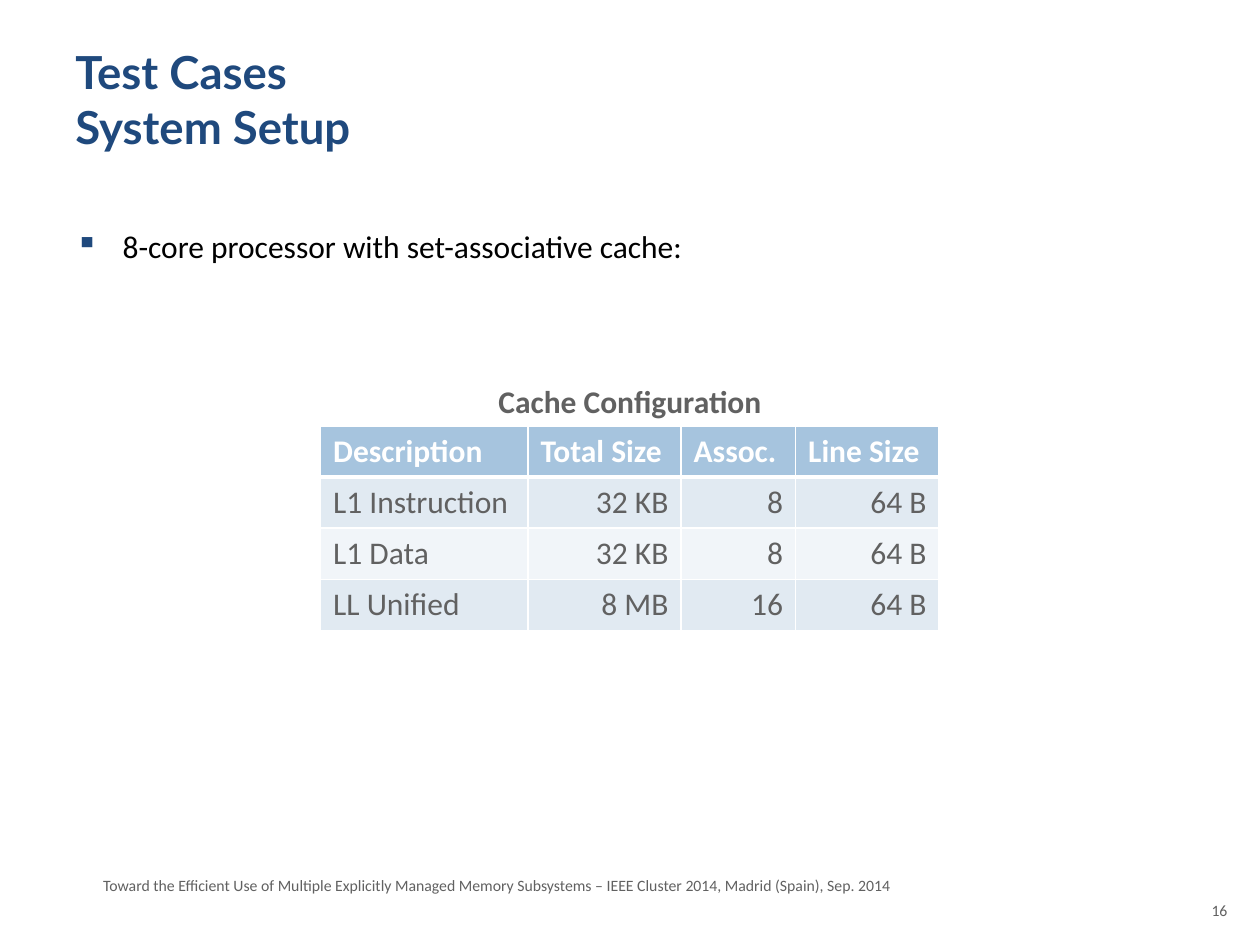
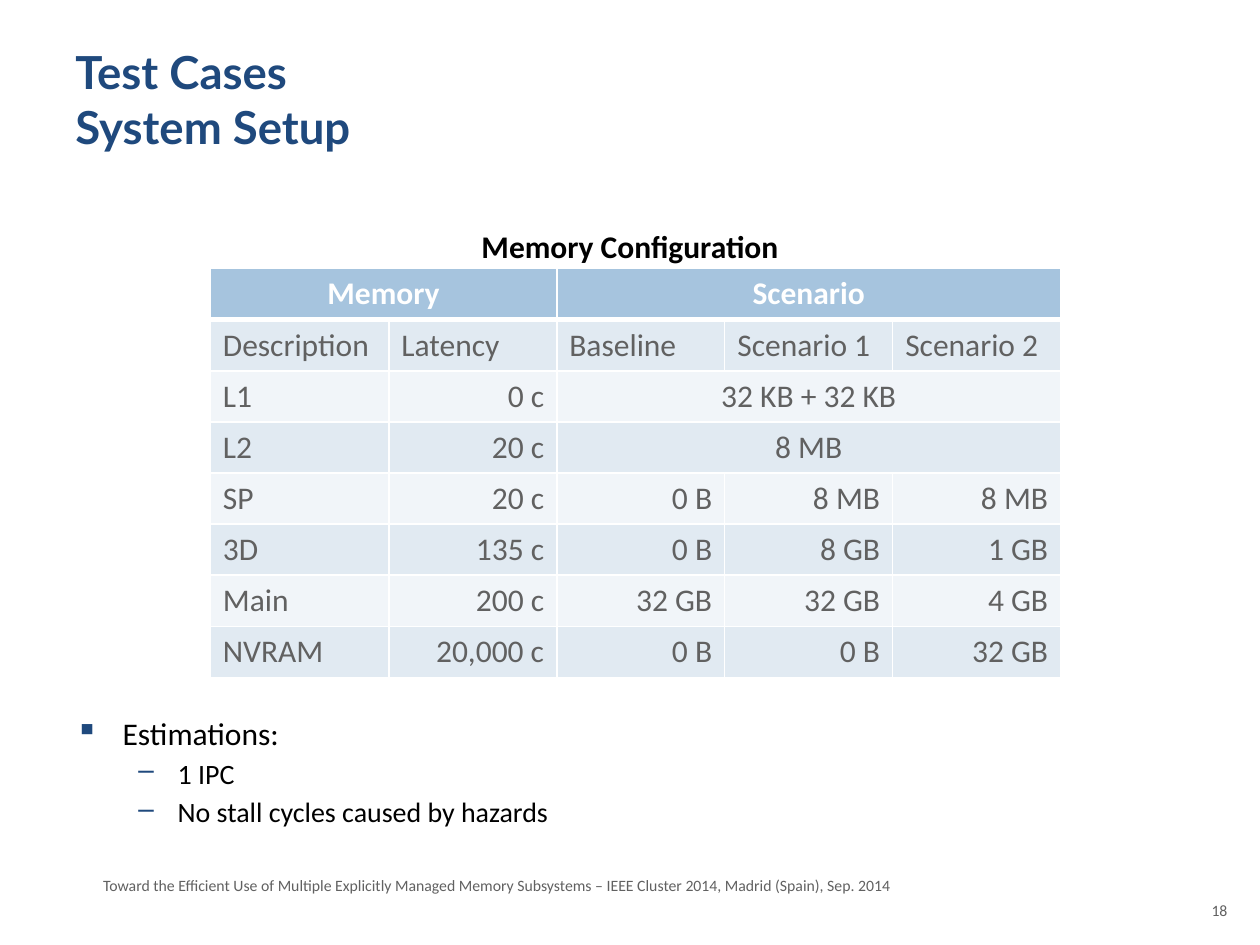
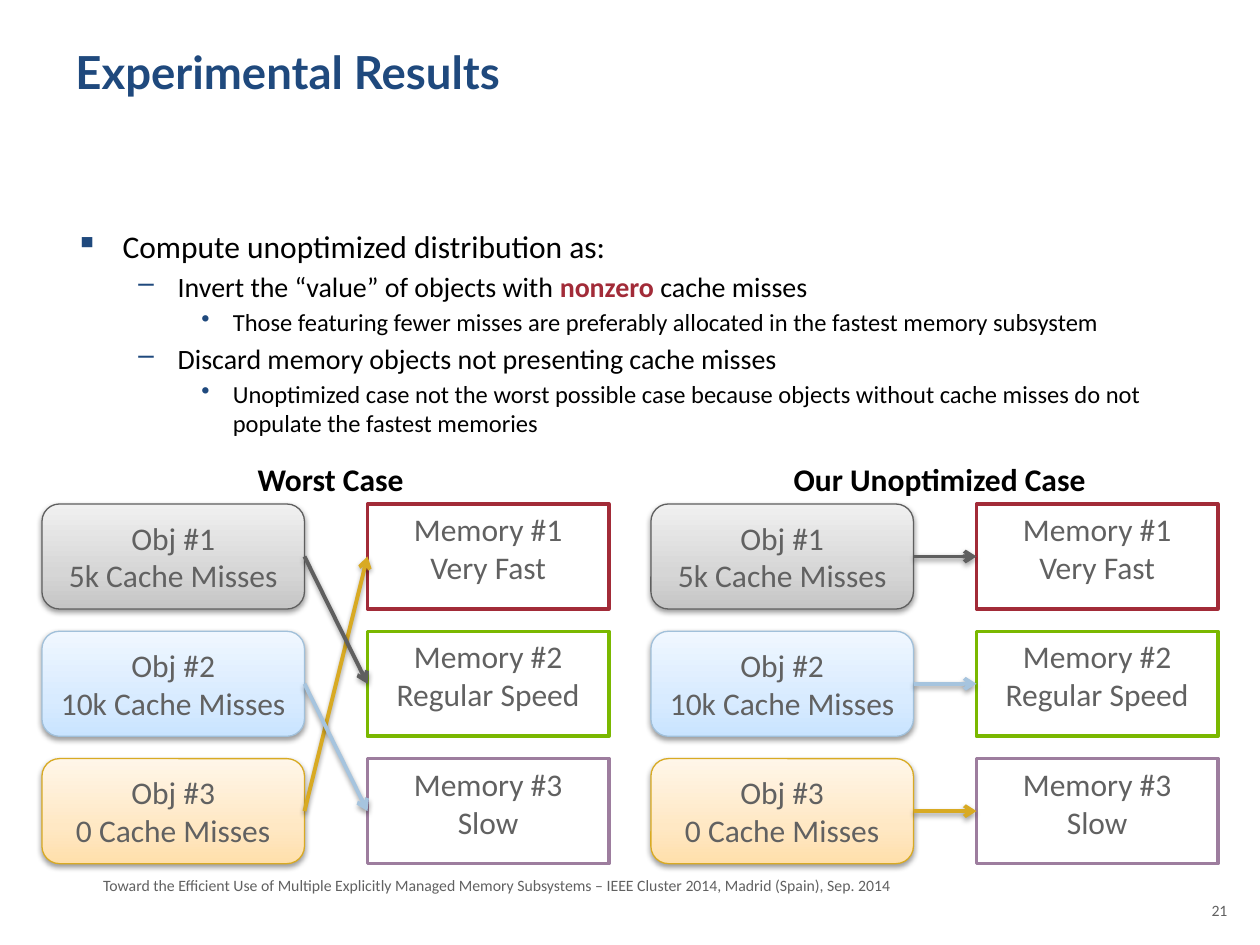
"""Build three slides on memory test cases and experimental results."""
import dataclasses
import typing

import lxml.etree
import pptx
import pptx.dml.color
import pptx.enum.shapes
import pptx.enum.text
import pptx.oxml.ns
import pptx.util

Pt = pptx.util.Pt
qn = pptx.oxml.ns.qn
Align = pptx.enum.text.PP_ALIGN
Anchor = pptx.enum.text.MSO_ANCHOR
Preset = pptx.enum.shapes.MSO_SHAPE


@dataclasses.dataclass(frozen=True)
class Theme:
    """Colours, fonts and type sizes of the deck."""
    navy: str = "1F497D"
    black: str = "000000"
    gray: str = "616161"
    white: str = "FFFFFF"
    crimson: str = "A22B38"
    green: str = "7AB800"
    purple: str = "9D7D9E"
    charcoal: str = "5F5F5F"
    steel: str = "A1C0DA"
    sky: str = "A6C4DE"
    gold: str = "D8AA23"
    bands: tuple[str, str] = ("E1EAF2", "F1F5F9")
    heading_font: str = "Lato"
    body_font: str = "Calibri"
    title_size: float = 26
    text_size: float = 18
    footer_size: float = 9


THEME = Theme()


class Box(typing.NamedTuple):
    """A frame in points."""
    left: float
    top: float
    width: float
    height: float

    def emu(self) -> list[int]:
        """Return the frame as lengths."""
        return [Pt(value) for value in self]


class Level(typing.NamedTuple):
    """Format of one bullet level."""
    mark: str
    size: float
    margin: float
    hang: float


class Phrase(typing.NamedTuple):
    """A stretch of text in one format."""
    text: str
    color: str = THEME.black
    bold: bool = False


class Bullet(typing.NamedTuple):
    """A bulleted line."""
    level: int
    phrases: tuple[Phrase, ...]


class MemoryObject(typing.NamedTuple):
    """A memory object with its gradient and colours."""
    label: str
    gradient: tuple[str, str, str]
    outline: str
    arrow: str


class Memory(typing.NamedTuple):
    """A memory subsystem with its outline colour."""
    label: str
    outline: str


class Placement(typing.NamedTuple):
    """A panel that assigns objects to memories."""
    caption: str
    left: float
    assignments: tuple[tuple[int, int], ...]


LEVELS = (Level("▪", 18, 27, 27), Level("–", 16, 58.5, 22.5), Level("•", 14, 90, 18))
TITLE_BOX = Box(36, 21.6, 648, 90)
BODY_BOX = Box(36, 126, 648, 356.4)
ESTIMATIONS_BOX = Box(36, 404.4, 648, 78)
FOOTER_BOX = Box(51.84, 496.8, 468, 18)
NUMBER_BOX = Box(678.24, 511.2, 30.24, 28.8)
CAPTION_SIZE = (318, 28.8)
FOOTER = ("Toward the Efficient Use of Multiple Explicitly Managed Memory Subsystems"
          " – IEEE Cluster 2014, Madrid (Spain), Sep. 2014")
SETUP_TITLE = "Test Cases\nSystem Setup"
ROW_HEIGHT = 29.2
CACHE_ROWS = (
    ("Description", "Total Size", "Assoc.", "Line Size"),
    ("L1 Instruction", "32 KB", "8", "64 B"),
    ("L1 Data", "32 KB", "8", "64 B"),
    ("LL Unified", "8 MB", "16", "64 B"),
)
MEMORY_ROWS = (
    ("Memory", None, "Scenario", None, None),
    ("Description", "Latency", "Baseline", "Scenario 1", "Scenario 2"),
    ("L1", "0 c", "32 KB + 32 KB", None, None),
    ("L2", "20 c", "8 MB", None, None),
    ("SP", "20 c", "0 B", "8 MB", "8 MB"),
    ("3D", "135 c", "0 B", "8 GB", "1 GB"),
    ("Main", "200 c", "32 GB", "32 GB", "4 GB"),
    ("NVRAM", "20,000 c", "0 B", "0 B", "32 GB"),
)
ESTIMATIONS = (
    Bullet(0, (Phrase("Estimations:"),)),
    Bullet(1, (Phrase("1 IPC"),)),
    Bullet(1, (Phrase("No stall cycles caused by hazards"),)),
)
DISTRIBUTION = (
    Bullet(0, (Phrase("Compute unoptimized distribution as:"),)),
    Bullet(1, (Phrase("Invert the “value” of objects with "),
               Phrase("nonzero ", THEME.crimson, True), Phrase("cache misses"))),
    Bullet(2, (Phrase("Those featuring fewer misses are preferably allocated in the fastest "
                      "memory subsystem"),)),
    Bullet(1, (Phrase("Discard memory objects not presenting cache misses"),)),
    Bullet(2, (Phrase("Unoptimized case not the worst possible case because objects without "
                      "cache misses do not populate the fastest memories"),)),
)
OBJECTS = (
    MemoryObject("Obj #1\n5k Cache Misses", ("C5C5C5", "D6D6D6", "F0F0F0"),
                 THEME.charcoal, THEME.charcoal),
    MemoryObject("Obj #2\n10k Cache Misses", ("C9E4FF", "D8EBFF", "F0F7FF"),
                 THEME.steel, THEME.sky),
    MemoryObject("Obj #3\n0 Cache Misses", ("FFDFAB", "FFE8C4", "FFF6E9"),
                 THEME.gold, THEME.gold),
)
MEMORIES = (
    Memory("Memory #1\nVery Fast", THEME.crimson),
    Memory("Memory #2\nRegular Speed", THEME.green),
    Memory("Memory #3\nSlow", THEME.purple),
)
PLACEMENTS = (
    Placement("Worst Case", 24, ((2, 0), (1, 2), (0, 1))),
    Placement("Our Unoptimized Case", 372, ((0, 0), (1, 1), (2, 2))),
)


def rgb(code: str) -> pptx.dml.color.RGBColor:
    """Turn a hex code into a colour."""
    return pptx.dml.color.RGBColor.from_string(code)


def add_xml(parent, tag: str, **attributes):
    """Append a drawing element with attributes."""
    return lxml.etree.SubElement(
        parent, qn(tag), {key: str(value) for key, value in attributes.items()})


def add_color(parent, code: str):
    """Append a colour element."""
    return add_xml(parent, "a:srgbClr", val=code)


def write(paragraph, text: str, *, size: float = THEME.text_size, color: str = THEME.gray,
          bold: bool = False, font: str = THEME.body_font, align=Align.LEFT) -> None:
    """Append formatted text to a paragraph, breaking it at line ends."""
    paragraph.alignment = align
    for index, line in enumerate(text.split("\n")):
        if index:
            paragraph.add_line_break()
        run = paragraph.add_run()
        run.text = line
        run.font.size = Pt(size)
        run.font.name = font
        run.font.bold = bold
        run.font.color.rgb = rgb(color)


def add_frame(slide, box: Box):
    """Add a wrapping text box and return its text frame."""
    frame = slide.shapes.add_textbox(*box.emu()).text_frame
    frame.word_wrap = True
    return frame


def add_text(slide, box: Box, text: str, **style) -> None:
    """Add a text box with one paragraph."""
    write(add_frame(slide, box).paragraphs[0], text, **style)


def add_caption(slide, left: float, top: float, text: str, color: str = THEME.black) -> None:
    """Add a centred bold caption."""
    add_text(slide, Box(left, top, *CAPTION_SIZE), text, color=color, bold=True,
             align=Align.CENTER)


def add_bullets(slide, box: Box, bullets: tuple[Bullet, ...]) -> None:
    """Add a bulleted list."""
    frame = add_frame(slide, box)
    for index, bullet in enumerate(bullets):
        level = LEVELS[bullet.level]
        paragraph = frame.add_paragraph() if index else frame.paragraphs[0]
        paragraph.level = bullet.level
        properties = paragraph._p.get_or_add_pPr()
        properties.set("marL", str(Pt(level.margin)))
        properties.set("indent", str(-Pt(level.hang)))
        add_color(add_xml(properties, "a:buClr"), THEME.navy)
        add_xml(properties, "a:buChar", char=level.mark)
        if index:
            paragraph.space_before = Pt(round(level.size * 0.17, 1))
        for phrase in bullet.phrases:
            write(paragraph, phrase.text, size=level.size, color=phrase.color, bold=phrase.bold)


def add_slide(deck, title: str, number: int):
    """Add a slide with its title, footer and number."""
    slide = deck.slides.add_slide(deck.slide_layouts[6])
    add_text(slide, TITLE_BOX, title, size=THEME.title_size, color=THEME.navy, bold=True,
             font=THEME.heading_font)
    add_text(slide, FOOTER_BOX, FOOTER, size=THEME.footer_size)
    add_text(slide, NUMBER_BOX, str(number), size=THEME.footer_size, align=Align.RIGHT)
    return slide


def style_cell(cell, row: int) -> None:
    """Give a cell its white borders and band fill."""
    properties = cell._tc.get_or_add_tcPr()
    heavy = {0: "a:lnB", 1: "a:lnT"}.get(row)
    for side in ("a:lnL", "a:lnR", "a:lnT", "a:lnB"):
        border = add_xml(properties, side, w=Pt(3 if side == heavy else 1))
        add_color(add_xml(border, "a:solidFill"), THEME.white)
    cell.fill.solid()
    cell.fill.fore_color.rgb = rgb(THEME.bands[(row - 1) % 2] if row else THEME.sky)


def add_table(slide, left: float, top: float, widths: tuple[float, ...],
              rows: tuple[tuple[str | None, ...], ...]) -> None:
    """Add a banded table in which None joins a cell to the one on its left."""
    box = Box(left, top, sum(widths), ROW_HEIGHT * len(rows))
    table = slide.shapes.add_table(len(rows), len(widths), *box.emu()).table
    table.first_row = table.horz_banding = False
    for column, width in zip(table.columns, widths):
        column.width = Pt(width)
    for r, values in enumerate(rows):
        table.rows[r].height = Pt(ROW_HEIGHT)
        for c, value in enumerate(values):
            cell = table.cell(r, c)
            style_cell(cell, r)
            if value is None:
                continue
            end = c
            while end + 1 < len(values) and values[end + 1] is None:
                end += 1
            align = Align.RIGHT if c and value[0].isdigit() else Align.LEFT
            if end > c:
                cell.merge(table.cell(r, end))
                align = Align.CENTER
            write(cell.text_frame.paragraphs[0], value, bold=r == 0, align=align,
                  color=THEME.gray if r else THEME.white)


def cast_shadow(properties) -> None:
    """Add a soft shadow below a shape or connector."""
    effects = properties.find(qn("a:effectLst"))
    if effects is None:
        effects = add_xml(properties, "a:effectLst")
    shadow = add_xml(effects, "a:outerShdw", blurRad=Pt(3.1), dist=Pt(1.6), dir=5400000,
                     rotWithShape=0)
    add_xml(add_color(shadow, THEME.black), "a:alpha", val=38000)


def add_block(slide, preset, box: Box, label: str, outline: str, weight: float, anchor):
    """Add an outlined white shape with centred lines."""
    block = slide.shapes.add_shape(preset, *box.emu())
    block.shadow.inherit = False
    block.fill.solid()
    block.fill.fore_color.rgb = rgb(THEME.white)
    block.line.color.rgb = rgb(outline)
    block.line.width = Pt(weight)
    frame = block.text_frame
    frame.word_wrap = True
    frame.vertical_anchor = anchor
    for index, line in enumerate(label.split("\n")):
        paragraph = frame.add_paragraph() if index else frame.paragraphs[0]
        write(paragraph, line, align=Align.CENTER)
    return block


def add_object(slide, box: Box, item: MemoryObject):
    """Add a rounded memory object with gradient and shadow."""
    block = add_block(slide, Preset.ROUNDED_RECTANGLE, box, item.label, item.outline, 0.75,
                      Anchor.MIDDLE)
    block.fill.gradient()
    block.fill.gradient_angle = 90
    properties = block._element.spPr
    stops = properties.find(qn("a:gradFill")).find(qn("a:gsLst"))
    for stop in list(stops):
        stops.remove(stop)
    for position, color in zip((0, 35000, 100000), item.gradient):
        add_color(add_xml(stops, "a:gs", pos=position), color)
    cast_shadow(properties)
    return block


def add_arrow(slide, source, target, color: str) -> None:
    """Connect the right side of one block to the left side of another."""
    arrow = slide.shapes.add_connector(pptx.enum.shapes.MSO_CONNECTOR.STRAIGHT, 0, 0, 0, 0)
    arrow.begin_connect(source, 3)
    arrow.end_connect(target, 1)
    arrow.line.color.rgb = rgb(color)
    arrow.line.width = Pt(2.25)
    add_xml(arrow.line._get_or_add_ln(), "a:tailEnd", type="arrow")
    cast_shadow(arrow._element.spPr)


def add_placement(slide, placement: Placement) -> None:
    """Add a panel of objects, memories and their assignments."""
    tops = [288 + 72.75 * index for index in range(len(OBJECTS))]
    left = placement.left
    objects = [add_object(slide, Box(left, top, 150, 60), item)
               for top, item in zip(tops, OBJECTS)]
    memories = [add_block(slide, Preset.RECTANGLE, Box(left + 186, top, 138, 60),
                          memory.label, memory.outline, 2, Anchor.TOP)
                for top, memory in zip(tops, MEMORIES)]
    add_caption(slide, left + 6, 259.2, placement.caption)
    for source, target in placement.assignments:
        add_arrow(slide, objects[source], memories[target], OBJECTS[source].arrow)


def main() -> None:
    """Build and save the deck."""
    deck = pptx.Presentation()
    deck.slide_width, deck.slide_height = Pt(720), Pt(540)

    cache = add_slide(deck, SETUP_TITLE, 16)
    add_bullets(cache, BODY_BOX,
                (Bullet(0, (Phrase("8-core processor with set-associative cache:"),)),))
    add_caption(cache, 201, 214.8, "Cache Configuration", THEME.gray)
    add_table(cache, 183.2, 243.4, (118.5, 87.5, 65.5, 82), CACHE_ROWS)

    memory = add_slide(deck, SETUP_TITLE, 18)
    add_bullets(memory, ESTIMATIONS_BOX, ESTIMATIONS)
    add_caption(memory, 201, 126, "Memory Configuration")
    add_table(memory, 120.2, 153.5, (102, 96, 96, 96, 96), MEMORY_ROWS)

    results = add_slide(deck, "Experimental Results", 21)
    add_bullets(results, BODY_BOX, DISTRIBUTION)
    for placement in PLACEMENTS:
        add_placement(results, placement)

    deck.save("out.pptx")


if __name__ == "__main__":
    main()
